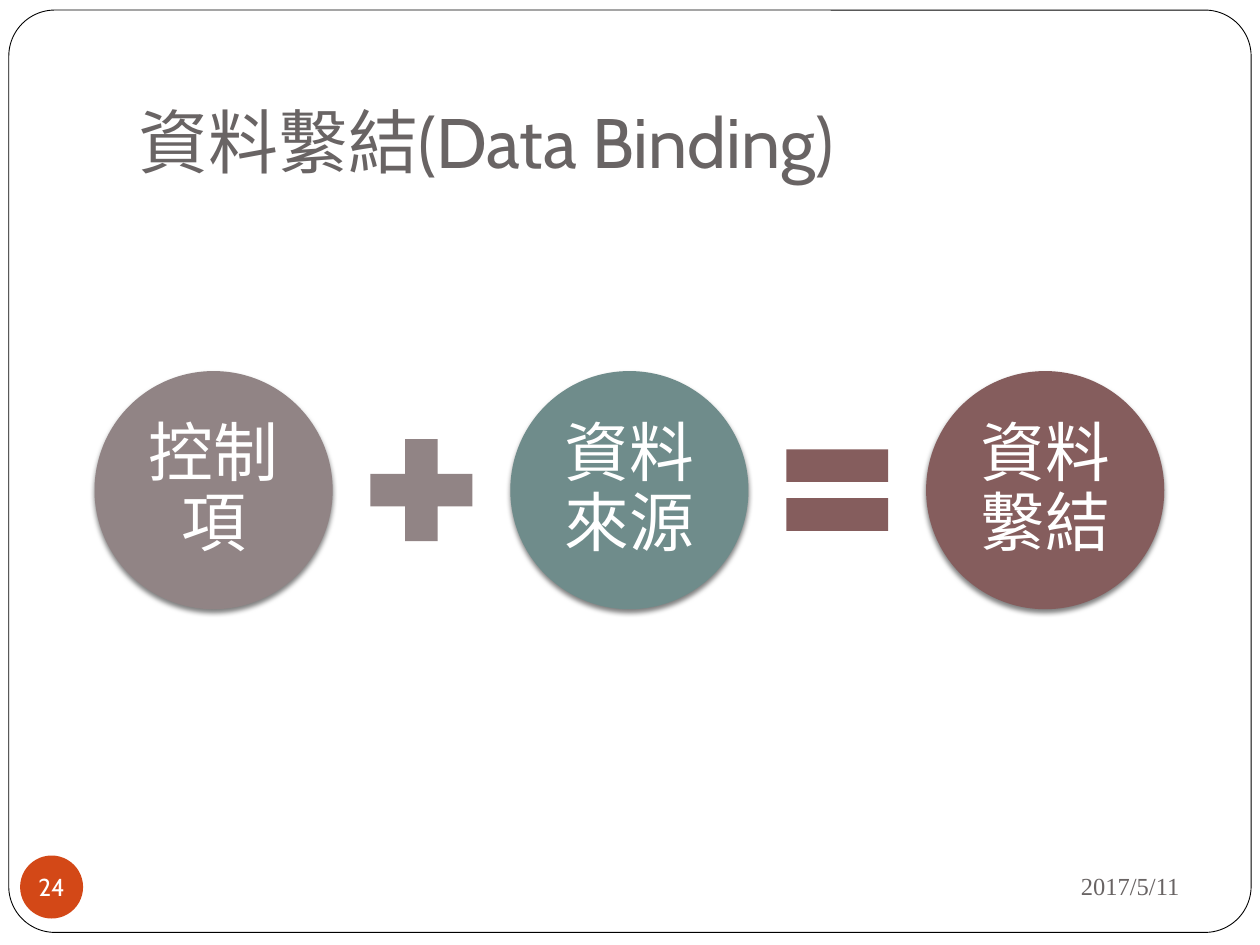
from lxml import etree
from pptx import Presentation
from pptx.dml.color import RGBColor
from pptx.enum.shapes import MSO_SHAPE
from pptx.enum.text import MSO_ANCHOR, MSO_AUTO_SIZE, PP_ALIGN
from pptx.oxml import parse_xml
from pptx.util import Inches, Pt

OVAL, PLUS, EQUAL = MSO_SHAPE.OVAL, MSO_SHAPE.MATH_PLUS, MSO_SHAPE.MATH_EQUAL
FRAME = MSO_SHAPE.ROUNDED_RECTANGLE
LEFT, CENTER, RIGHT = PP_ALIGN.LEFT, PP_ALIGN.CENTER, PP_ALIGN.RIGHT
MIDDLE, BOTTOM = MSO_ANCHOR.MIDDLE, MSO_ANCHOR.BOTTOM

WHITE = RGBColor(0xFF, 0xFF, 0xFF)
BLACK = RGBColor(0, 0, 0)
GRAY = RGBColor(0x69, 0x64, 0x64)
TAUPE = RGBColor(0x91, 0x84, 0x85)
TEAL = RGBColor(0x6F, 0x8C, 0x8B)
MAROON = RGBColor(0x85, 0x5D, 0x5D)
ORANGE = RGBColor(0xD3, 0x48, 0x17)
SANS, SERIF = "Cabin", "Times New Roman"

# Content
TITLE = "資料繫結(Data Binding)"
DATE, NUMBER = "2017/5/11", "24"
TERMS = [("控制項", TAUPE), ("資料來源", TEAL), ("資料繫結", MAROON)]
OPERATORS = [(PLUS, TAUPE), (EQUAL, MAROON)]

# Equation row, in inches
ROW_LEFT, ROW_MIDDLE = 0.75, 3.89
CIRCLE, SIGN, PITCH = 1.89, 1.1, 3.3

SHADOW = """<a:effectLst xmlns:a="http://schemas.openxmlformats.org/drawingml/2006/main">
<a:outerShdw blurRad="38100" dist="25400" dir="5400000" rotWithShape="0">
<a:srgbClr val="000000"><a:alpha val="50000"/></a:srgbClr></a:outerShdw></a:effectLst>"""


def add_shape(slide, kind, box, fill):
    shape = slide.shapes.add_shape(kind, *map(Inches, box))
    shape.shadow.inherit = False
    shape.fill.solid()
    shape.fill.fore_color.rgb = fill
    shape.line.fill.background()
    return shape


def cast_shadow(shape):
    properties = shape.fill._xPr
    for effects in properties.findall("{*}effectLst"):
        properties.replace(effects, parse_xml(SHADOW))


def set_text(shape, text, size, font, color, align, anchor, insets, wrap=True):
    frame = shape.text_frame
    frame.text = text
    sides = ("margin_left", "margin_top", "margin_right", "margin_bottom")
    settings = dict(zip(sides, map(Inches, insets)), word_wrap=wrap,
                    vertical_anchor=anchor, auto_size=MSO_AUTO_SIZE.NONE)
    for name, value in settings.items():
        setattr(frame, name, value)
    paragraph = frame.paragraphs[0]
    paragraph.alignment = align
    run_font = paragraph.runs[0].font
    for name, value in {"size": Pt(size), "name": font}.items():
        setattr(run_font, name, value)
    run_font.color.rgb = color
    return paragraph


def main():
    presentation = Presentation()
    presentation.slide_width, presentation.slide_height = Inches(10), Inches(7.5)
    slide = presentation.slides.add_slide(presentation.slide_layouts[5])

    # Page frame, behind the title
    frame = add_shape(slide, FRAME, (0.07, 0.08, 9.86, 7.32), WHITE)
    frame.adjustments[0] = 0.05
    frame.line.color.rgb = BLACK
    frame.line.width = Pt(0.5)
    title = slide.shapes.title
    title.element.addprevious(frame.element)

    # Title
    title.left, title.top, title.width, title.height = map(Inches, (1, 0.3, 8.5, 1.25))
    set_text(title, TITLE, 40, SANS, GRAY, LEFT, BOTTOM, (0.1, 0.05, 0.1, 0.1))

    # Equation: circles with a sign centred in each gap
    for column, (text, color) in enumerate(TERMS):
        box = (ROW_LEFT + column * PITCH, ROW_MIDDLE - CIRCLE / 2, CIRCLE, CIRCLE)
        circle = add_shape(slide, OVAL, box, color)
        cast_shadow(circle)
        paragraph = set_text(circle, text, 37, SERIF, WHITE, CENTER, MIDDLE, (0.05,) * 4)
        paragraph.line_spacing = 0.9
    sign_left = ROW_LEFT + (CIRCLE + PITCH - SIGN) / 2
    for column, (kind, color) in enumerate(OPERATORS):
        box = (sign_left + column * PITCH, ROW_MIDDLE - SIGN / 2, SIGN, SIGN)
        add_shape(slide, kind, box, color)

    # Footer: date and slide number
    date = slide.shapes.add_textbox(*map(Inches, (6.75, 6.77, 2.71, 0.52)))
    set_text(date, DATE, 14, SERIF, GRAY, RIGHT, MIDDLE, (0.1, 0.05, 0.1, 0.05))
    badge = add_shape(slide, OVAL, (0.16, 6.79, 0.5, 0.5), ORANGE)
    set_text(badge, NUMBER, 14, SANS, WHITE, CENTER, MIDDLE, (0,) * 4, wrap=False)

    presentation.save("out.pptx")


if __name__ == "__main__":
    main()
